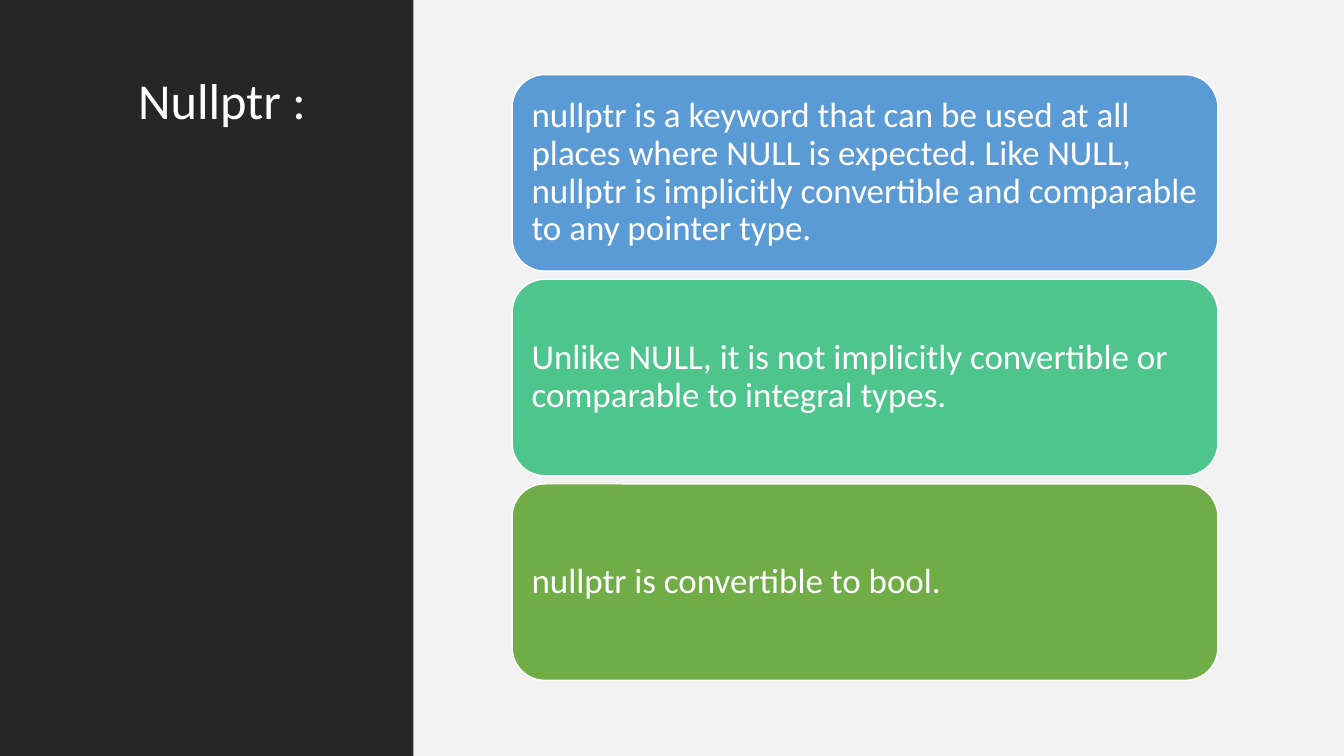
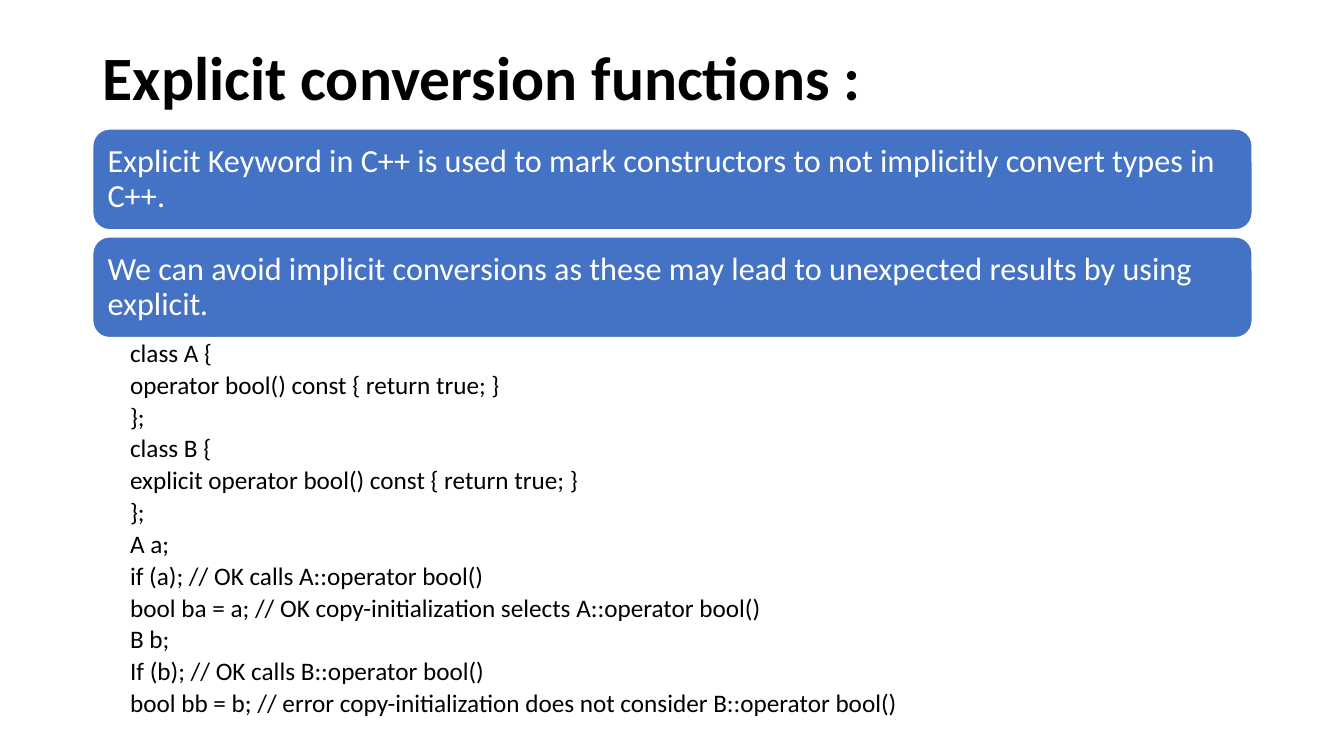
import dataclasses

import lxml.etree
import pptx
import pptx.dml.color
import pptx.enum.shapes
import pptx.enum.text
import pptx.oxml.ns
import pptx.util

ANCHOR = pptx.enum.text.MSO_ANCHOR
SHAPE = pptx.enum.shapes.MSO_SHAPE
SCALE = 9144  # EMU per px, 100 px to the inch
WIDE, HIGH = 1333, 750


@dataclasses.dataclass(frozen=True)
class Theme:
    font: str = "Calibri"
    white: str = "FFFFFF"
    black: str = "000000"
    dark: str = "262626"
    pale: str = "F2F2F2"
    sky: str = "5B9BD5"
    mint: str = "4DC58D"
    green: str = "70AD47"
    blue: str = "4472C4"
    side: int = 36
    head: int = 44
    large: int = 25
    small: int = 23
    code: int = 18
    lead: float = 0.9
    after: float = 3.3


THEME = Theme()


def px(num):
    return pptx.util.Emu(round(num * SCALE))


def rgb(code):
    return pptx.dml.color.RGBColor.from_string(code)


def place(shape, box):
    shape.left, shape.top, shape.width, shape.height = map(px, box)


def setup(frame, anchor, pads):
    frame.word_wrap = True
    frame.auto_size = pptx.enum.text.MSO_AUTO_SIZE.NONE
    frame.vertical_anchor = anchor
    (frame.margin_left, frame.margin_top,
     frame.margin_right, frame.margin_bottom) = map(px, pads)


def write(para, runs, size, color, bold=False, after=0):
    """Fill a left-aligned paragraph with (text, italic) runs."""
    para.alignment = pptx.enum.text.PP_ALIGN.LEFT
    para.line_spacing = THEME.lead
    para.space_before = pptx.util.Pt(0)
    para.space_after = pptx.util.Pt(after)
    for text, slant in runs:
        run = para.add_run()
        run.text = text
        font = run.font
        font.name, font.size = THEME.font, pptx.util.Pt(size)
        font.bold, font.italic = bold, slant
        font.color.rgb = rgb(color)


def title(slide, box, text, size, color, anchor, bold=False):
    shape = slide.shapes.title
    place(shape, box)
    setup(shape.text_frame, anchor, (10, 5, 10, 5))
    write(shape.text_frame.paragraphs[0], [(text, False)], size, color, bold)


def block(slide, kind, box, fill):
    shape = slide.shapes.add_shape(kind, *map(px, box))
    shape.shadow.inherit = False
    shape.fill.solid()
    shape.fill.fore_color.rgb = rgb(fill)
    shape.line.fill.background()
    return shape


def cards(slide, box, items, gap, size):
    """Stack equal rounded cards, one for each (fill, runs) item."""
    left, top, width, height = box
    tall = (height - gap * (len(items) - 1)) / len(items)
    for row, (fill, runs) in enumerate(items):
        spot = (left, top + row * (tall + gap), width, tall)
        card = block(slide, SHAPE.ROUNDED_RECTANGLE, spot, fill)
        card.line.color.rgb = rgb(THEME.white)
        card.line.width = pptx.util.Pt(1)
        setup(card.text_frame, ANCHOR.MIDDLE, (10, 10, 10, 10))
        write(card.text_frame.paragraphs[0], runs, size, THEME.white)


def listing(slide, box, lines):
    shape = slide.placeholders[1]
    place(shape, box)
    frame = shape.text_frame
    setup(frame, ANCHOR.TOP, (37, 3, 18, 3))
    for row, line in enumerate(lines):
        para = frame.add_paragraph() if row else frame.paragraphs[0]
        write(para, [(line, False)], THEME.code, THEME.black, after=THEME.after)
        props = para._p.get_or_add_pPr()
        props.set("marL", "0")
        props.set("indent", "0")
        lxml.etree.SubElement(props, pptx.oxml.ns.qn("a:buNone"))


def pointer(deck):
    slide = deck.slides.add_slide(deck.slide_layouts[5])
    edge = 410
    block(slide, SHAPE.RECTANGLE, (edge, 0, WIDE - edge, HIGH), THEME.pale)
    block(slide, SHAPE.RECTANGLE, (0, 0, edge, HIGH), THEME.dark)
    # The title sits above the dark band
    tree = slide.shapes._spTree
    tree.append(slide.shapes.title._element)
    title(slide, (127, 70, 240, 610), "Nullptr :", THEME.side, THEME.white,
          ANCHOR.TOP)
    cards(slide, (508, 74, 700, 601), [
        (THEME.sky, [("nullptr is a keyword that can be used at all places "
                      "where NULL is expected. Like NULL, nullptr is "
                      "implicitly convertible and comparable to any pointer "
                      "type.", False)]),
        (THEME.mint, [("Unlike NULL, it is not implicitly convertible or "
                       "comparable to integral types.", False)]),
        (THEME.green, [("nullptr is convertible to bool.", False)]),
    ], 8, THEME.large)


def explicit(deck):
    slide = deck.slides.add_slide(deck.slide_layouts[1])
    left, width = 92, 1150
    title(slide, (left, 40, width, 79), "Explicit conversion functions :",
          THEME.head, THEME.black, ANCHOR.MIDDLE, bold=True)
    cards(slide, (left, 128, width, 207), [
        (THEME.blue, [("Explicit Keyword in C++ is used to mark constructors "
                       "to not implicitly convert types in C++.", False)]),
        (THEME.blue, [("We can avoid implicit conversions as these may lead "
                       "to unexpected results by using explicit", False),
                      (".", True)]),
    ], 7, THEME.small)
    listing(slide, (left, 335, width, 406), [
        "class A {",
        "operator bool() const { return true; }",
        "};",
        "class B {",
        "explicit operator bool() const { return true; }",
        "};",
        "A a;",
        "if (a); // OK calls A::operator bool()",
        "bool ba = a; // OK copy-initialization selects A::operator bool()",
        "B b;",
        "If (b); // OK calls B::operator bool()",
        "bool bb = b; // error copy-initialization does not consider "
        "B::operator bool()",
    ])


def main():
    deck = pptx.Presentation()
    deck.slide_width, deck.slide_height = px(WIDE), px(HIGH)
    pointer(deck)
    explicit(deck)
    deck.save("out.pptx")


if __name__ == "__main__":
    main()
